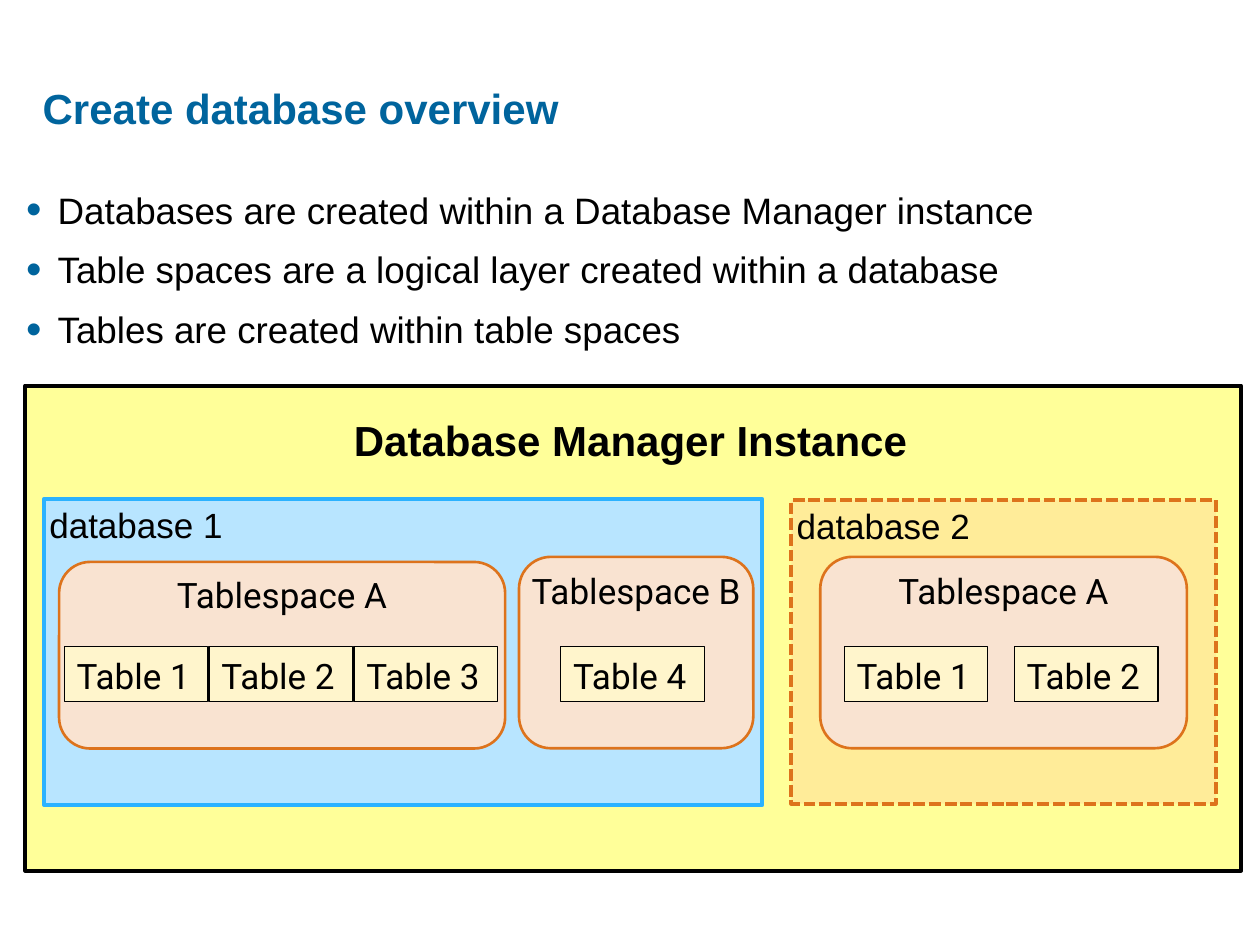
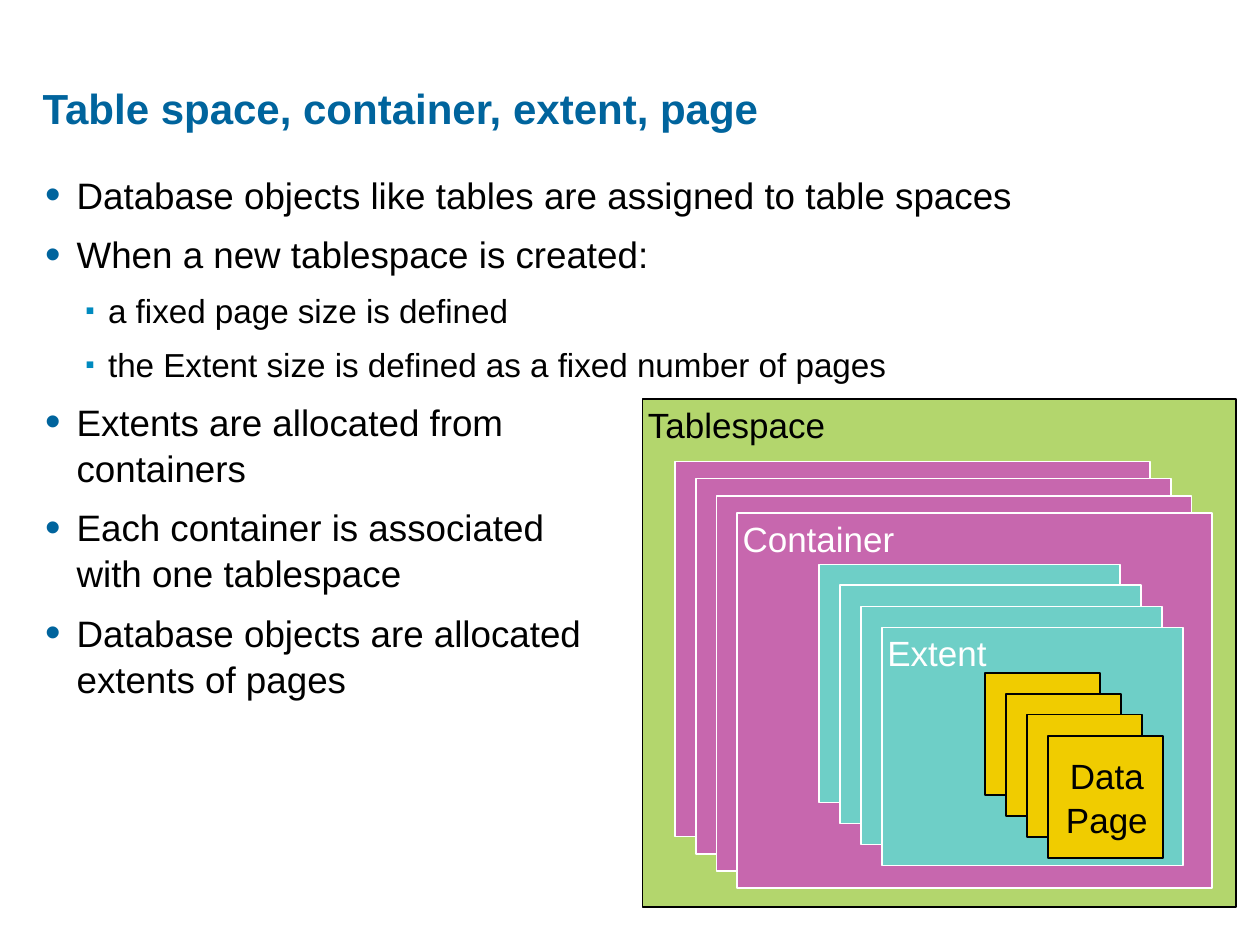
from dataclasses import dataclass

import pptx
import pptx.dml.color
import pptx.enum.dml
import pptx.enum.shapes
import pptx.enum.text
import pptx.oxml.ns
import pptx.util
from lxml import etree

Pt = pptx.util.Pt
Shape = pptx.enum.shapes.MSO_SHAPE
Align = pptx.enum.text.PP_ALIGN
Anchor = pptx.enum.text.MSO_ANCHOR


@dataclass(frozen=True)
class Theme:
    font: str = "Arial"
    diagram_font: str = "Roboto"
    title_size: float = 24
    label_size: float = 20
    line_spacing: float = 1.04
    title: str = "00649D"
    black: str = "000000"
    white: str = "FFFFFF"
    instance: str = "FFFF99"
    database_1: str = "B8E5FF"
    database_1_line: str = "2BB2FF"
    database_2: str = "FFEC99"
    orange: str = "DD731C"
    tablespace: str = "F9E3D1"
    table: str = "FFF5CC"
    green: str = "B3D66D"
    container: str = "C767AE"
    extent: str = "6ECFC7"
    page: str = "F0CC00"


@dataclass(frozen=True)
class BulletStyle:
    size: float
    space_before: float
    character: str
    color: str
    percent: int
    margin: float
    hanging: float


THEME = Theme()
BULLETS = (
    BulletStyle(21, 7.9, "•", THEME.title, 120, 18, 18),
    BulletStyle(19, 7.1, "▪", "008ABF", 80, 36, 13),
)
BOX_INSETS = (3, 1.5, 1.5, 1.5)
TABLESPACE_INSETS = (0.75, 0.75, 0.75, 2)
TABLE_INSETS = (7.2, 3.6, 2, 3.6)
TABLE_TOP, TABLE_WIDTH, TABLE_HEIGHT = 369.4, 82.1, 31.7


def rgb(color):
    return pptx.dml.color.RGBColor.from_string(color)


def set_insets(text_frame, insets):
    """Insets run left, top, right, bottom."""
    text_frame.margin_left, text_frame.margin_top = Pt(insets[0]), Pt(insets[1])
    text_frame.margin_right, text_frame.margin_bottom = Pt(insets[2]), Pt(insets[3])


def format_runs(paragraph, size, color=THEME.black, font=THEME.font, bold=False):
    paragraph.line_spacing = THEME.line_spacing
    for run in paragraph.runs:
        run.font.name = font
        run.font.size = Pt(size)
        run.font.bold = bold
        run.font.color.rgb = rgb(color)


def add_text_box(slide, bounds):
    text_frame = slide.shapes.add_textbox(*map(Pt, bounds)).text_frame
    text_frame.word_wrap = True
    return text_frame


def add_heading(slide, text, bounds, color=THEME.title, align=Align.LEFT):
    text_frame = add_text_box(slide, bounds)
    text_frame.vertical_anchor = Anchor.MIDDLE
    text_frame.text = text
    paragraph = text_frame.paragraphs[0]
    paragraph.alignment = align
    format_runs(paragraph, THEME.title_size, color, bold=True)


def add_title(slide, text):
    add_heading(slide, text, (17.3, 36, 695.5, 50.4))


def set_bullet(paragraph, style):
    properties = paragraph._p.get_or_add_pPr()
    properties.set("marL", str(Pt(style.margin)))
    properties.set("indent", str(-Pt(style.hanging)))

    def add(parent, tag, **attributes):
        return etree.SubElement(parent, pptx.oxml.ns.qn(tag), **attributes)

    add(add(properties, "a:buClr"), "a:srgbClr", val=style.color)
    add(properties, "a:buSzPct", val=str(style.percent * 1000))
    add(properties, "a:buFont", typeface=THEME.font)
    add(properties, "a:buChar", char=style.character)


def add_bullets(slide, left, top, items):
    """Items are pairs of level and text."""
    text_frame = add_text_box(slide, (left, top, 693.4, 421.9))
    text_frame.text = "\n".join(text for _, text in items)
    for index, (paragraph, (level, _)) in enumerate(zip(text_frame.paragraphs, items)):
        style = BULLETS[level]
        paragraph.level = level
        set_bullet(paragraph, style)
        if index:
            paragraph.space_before = Pt(style.space_before)
        format_runs(paragraph, style.size)


def add_box(slide, bounds, fill, line, line_width=1, kind=Shape.RECTANGLE):
    shape = slide.shapes.add_shape(kind, *map(Pt, bounds))
    shape.shadow.inherit = False
    shape.fill.solid()
    shape.fill.fore_color.rgb = rgb(fill)
    shape.line.color.rgb = rgb(line)
    shape.line.width = Pt(line_width)
    return shape


def label_box(shape, text, color=THEME.black, font=THEME.font, align=Align.LEFT,
              anchor=Anchor.TOP, insets=BOX_INSETS):
    text_frame = shape.text_frame
    text_frame.word_wrap = True
    text_frame.vertical_anchor = anchor
    set_insets(text_frame, insets)
    text_frame.text = text
    paragraph = text_frame.paragraphs[0]
    paragraph.alignment = align
    format_runs(paragraph, THEME.label_size, color, font)


def add_tablespace(slide, name, bounds, tables, first_left, pitch=82.8):
    """Draw a tablespace and its row of tables."""
    shape = add_box(slide, bounds, THEME.tablespace, THEME.orange, 1.5,
                    Shape.ROUNDED_RECTANGLE)
    label_box(shape, name, font=THEME.diagram_font, align=Align.CENTER,
              insets=TABLESPACE_INSETS)
    for index, table in enumerate(tables):
        table_bounds = (first_left + index * pitch, TABLE_TOP, TABLE_WIDTH, TABLE_HEIGHT)
        table_box = add_box(slide, table_bounds, THEME.table, THEME.black, 0.75)
        label_box(table_box, table, font=THEME.diagram_font, insets=TABLE_INSETS)


def add_stack(slide, bounds, step, fill, line, count=4):
    """Draw overlapping boxes and return the front one."""
    left, top, width, height = bounds
    for index in range(count):
        front = add_box(slide, (left + index * step[0], top + index * step[1],
                                width, height), fill, line)
    return front


def build_overview(slide):
    add_title(slide, "Create database overview")
    add_box(slide, (14.4, 220.3, 694.8, 277.2), THEME.instance, THEME.black, 2.25)
    add_heading(slide, "Database Manager Instance", (195, 232.5, 330.5, 36),
                THEME.black, Align.CENTER)

    database_1 = add_box(slide, (25.2, 285.1, 410.4, 175), THEME.database_1,
                         THEME.database_1_line, 2.25)
    label_box(database_1, "database 1")
    add_tablespace(slide, "Tablespace A", (33.8, 321.1, 254.9, 106.6),
                   ("Table 1", "Table 2", "Table 3"), 36.7)
    add_tablespace(slide, "Tablespace B", (296.6, 318.2, 133.9, 109.4),
                   ("Table 4",), 320.4)

    database_2 = add_box(slide, (452.2, 285.8, 242.6, 173.5), THEME.database_2,
                         THEME.orange, 2.25)
    database_2.line.dash_style = pptx.enum.dml.MSO_LINE.SQUARE_DOT
    label_box(database_2, "database 2")
    add_tablespace(slide, "Tablespace A", (468.7, 318.2, 209.5, 109.4),
                   ("Table 1", "Table 2"), 482.4, pitch=97.2)

    add_bullets(slide, 7.9, 102.6, (
        (0, "Databases are created within a Database Manager instance"),
        (0, "Table spaces are a logical layer created within a database"),
        (0, "Tables are created within table spaces"),
    ))


def build_storage(slide):
    tablespace = add_box(slide, (367.2, 228.2, 339.1, 290.2), THEME.green, THEME.black)
    label_box(tablespace, "Tablespace")
    add_title(slide, "Table space, container, extent, page")
    add_bullets(slide, 18.7, 94, (
        (0, "Database objects like tables are assigned to table spaces"),
        (0, "When a new tablespace is created:"),
        (1, "a fixed page size is defined"),
        (1, "the Extent size is defined as a fixed number of pages"),
        (0, "Extents are allocated from\vcontainers"),
        (0, "Each container is associated\vwith one tablespace"),
        (0, "Database objects are allocated\vextents of pages"),
    ))
    container = add_stack(slide, (385.9, 263.7, 271.4, 214.4), (11.8, 9.8),
                          THEME.container, THEME.white)
    label_box(container, "Container", THEME.white)
    extent = add_stack(slide, (468, 322.5, 172.2, 136.1), (12, 12),
                       THEME.extent, THEME.white)
    label_box(extent, "Extent", THEME.white)
    page = add_stack(slide, (563, 384.4, 65.5, 69.8), (12, 12),
                     THEME.page, THEME.black)
    label_box(page, "Data Page", align=Align.CENTER, anchor=Anchor.MIDDLE)


def main():
    presentation = pptx.Presentation()
    presentation.slide_width, presentation.slide_height = Pt(720), Pt(540)
    blank_layout = presentation.slide_layouts[6]
    for build in (build_overview, build_storage):
        build(presentation.slides.add_slide(blank_layout))
    presentation.save("out.pptx")


if __name__ == "__main__":
    main()
